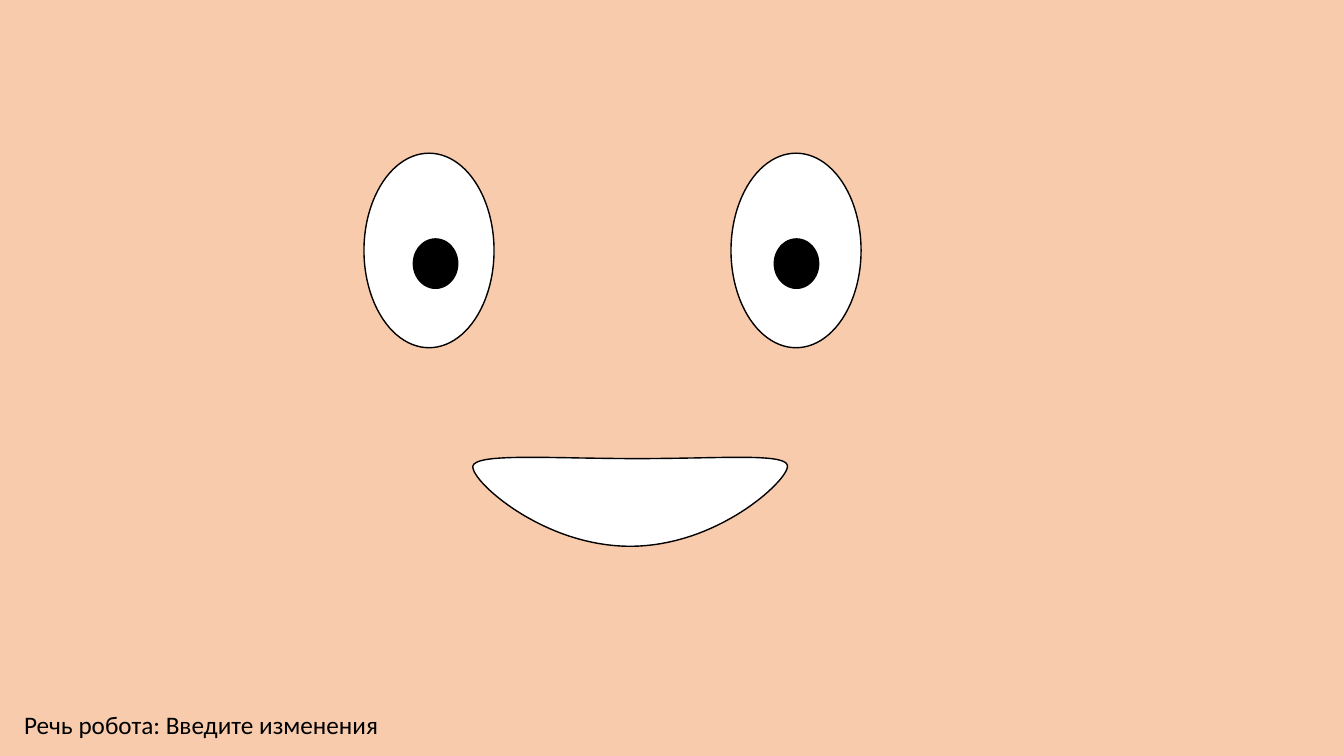
from dataclasses import dataclass

import pptx
import pptx.dml.color
import pptx.enum.shapes
import pptx.enum.text
import pptx.presentation
import pptx.shapes.base
import pptx.slide
import pptx.util

Inches = pptx.util.Inches
RGBColor = pptx.dml.color.RGBColor
ShapeKind = pptx.enum.shapes.MSO_SHAPE
Point = tuple[float, float]

SKIN = RGBColor(0xF8, 0xCB, 0xAD)
WHITE = RGBColor(0xFF, 0xFF, 0xFF)
BLACK = RGBColor(0x00, 0x00, 0x00)

SLIDE_WIDTH, SLIDE_HEIGHT = 13.33, 7.5
CURVE_STEPS = 32
SPEECH = "Речь робота: Введите изменения"
SPEECH_FORMAT = {"name": "Calibri", "size": pptx.util.Pt(18)}


@dataclass(frozen=True)
class Oval:
    left: float
    top: float
    width: float
    height: float
    fill: RGBColor


@dataclass(frozen=True)
class Curve:
    """A cubic curve that continues from the previous point."""
    first_control: Point
    second_control: Point
    end: Point


EYES = [Oval(left, 1.52, 1.29, 1.93, WHITE) for left in (3.61, 7.25)]
PUPILS = [Oval(left, 2.37, 0.44, 0.49, BLACK) for left in (4.1, 7.68)]

MOUTH_START = (6.25, 5.42)
MOUTH_CURVES = [
    Curve((5.39, 5.42), (4.68, 4.78), (4.69, 4.63)),
    Curve((4.7, 4.49), (5.46, 4.55), (6.32, 4.55)),
    Curve((7.19, 4.55), (7.82, 4.49), (7.81, 4.63)),
    Curve((7.8, 4.78), (7.11, 5.42), MOUTH_START),
]


def paint(shape: pptx.shapes.base.BaseShape, fill: RGBColor, outlined: bool = True) -> None:
    shape.shadow.inherit = False
    shape.fill.solid()
    shape.fill.fore_color.rgb = fill
    if outlined:
        shape.line.color.rgb = BLACK
        shape.line.width = pptx.util.Pt(1)
    else:
        shape.line.fill.background()


def draw_skin(page: pptx.slide.Slide) -> None:
    skin = page.shapes.add_shape(
        ShapeKind.RECTANGLE, 0, 0, Inches(SLIDE_WIDTH), Inches(SLIDE_HEIGHT))
    paint(skin, SKIN, outlined=False)


def draw_oval(page: pptx.slide.Slide, oval: Oval) -> None:
    place = [Inches(length) for length in (oval.left, oval.top, oval.width, oval.height)]
    paint(page.shapes.add_shape(ShapeKind.OVAL, *place), oval.fill)


def curve_points(start: Point, curve: Curve) -> list[Point]:
    controls = (start, curve.first_control, curve.second_control, curve.end)
    points = []
    for step in range(1, CURVE_STEPS + 1):
        t = step / CURVE_STEPS
        weights = ((1 - t) ** 3, 3 * t * (1 - t) ** 2, 3 * t ** 2 * (1 - t), t ** 3)
        x, y = (sum(weight * control[axis] for weight, control in zip(weights, controls))
                for axis in (0, 1))
        points.append((x, y))
    return points


def draw_mouth(page: pptx.slide.Slide) -> None:
    outline = [MOUTH_START]
    for curve in MOUTH_CURVES:
        outline += curve_points(outline[-1], curve)
    corners = [(Inches(x), Inches(y)) for x, y in outline]
    builder = page.shapes.build_freeform(*corners[0])
    builder.add_line_segments(corners[1:], close=True)
    paint(builder.convert_to_shape(), WHITE)


def write_speech(page: pptx.slide.Slide) -> None:
    box = page.shapes.add_textbox(Inches(0.14), Inches(6.99), Inches(3.76), Inches(0.4))
    box.text_frame.word_wrap = False
    box.text_frame.auto_size = pptx.enum.text.MSO_AUTO_SIZE.SHAPE_TO_FIT_TEXT
    span = box.text_frame.paragraphs[0].add_run()
    span.text = SPEECH
    for name, value in SPEECH_FORMAT.items():
        setattr(span.font, name, value)
    span.font.color.rgb = BLACK


def main() -> None:
    deck = pptx.Presentation()
    deck.slide_width, deck.slide_height = Inches(SLIDE_WIDTH), Inches(SLIDE_HEIGHT)
    page = deck.slides.add_slide(deck.slide_layouts[6])

    # Face
    draw_skin(page)
    for oval in EYES + PUPILS:
        draw_oval(page, oval)
    draw_mouth(page)

    # Caption
    write_speech(page)
    deck.save("out.pptx")


if __name__ == "__main__":
    main()
